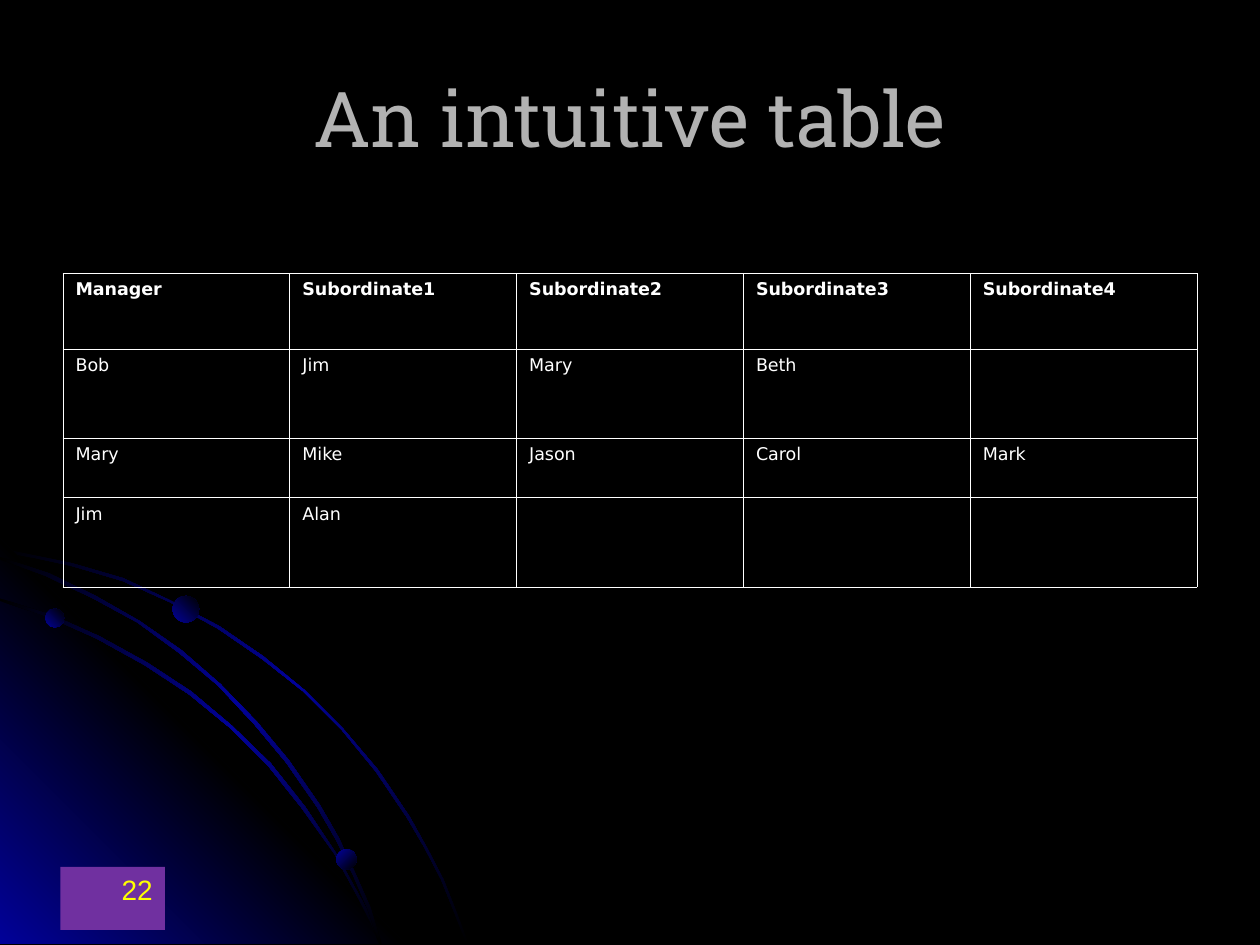
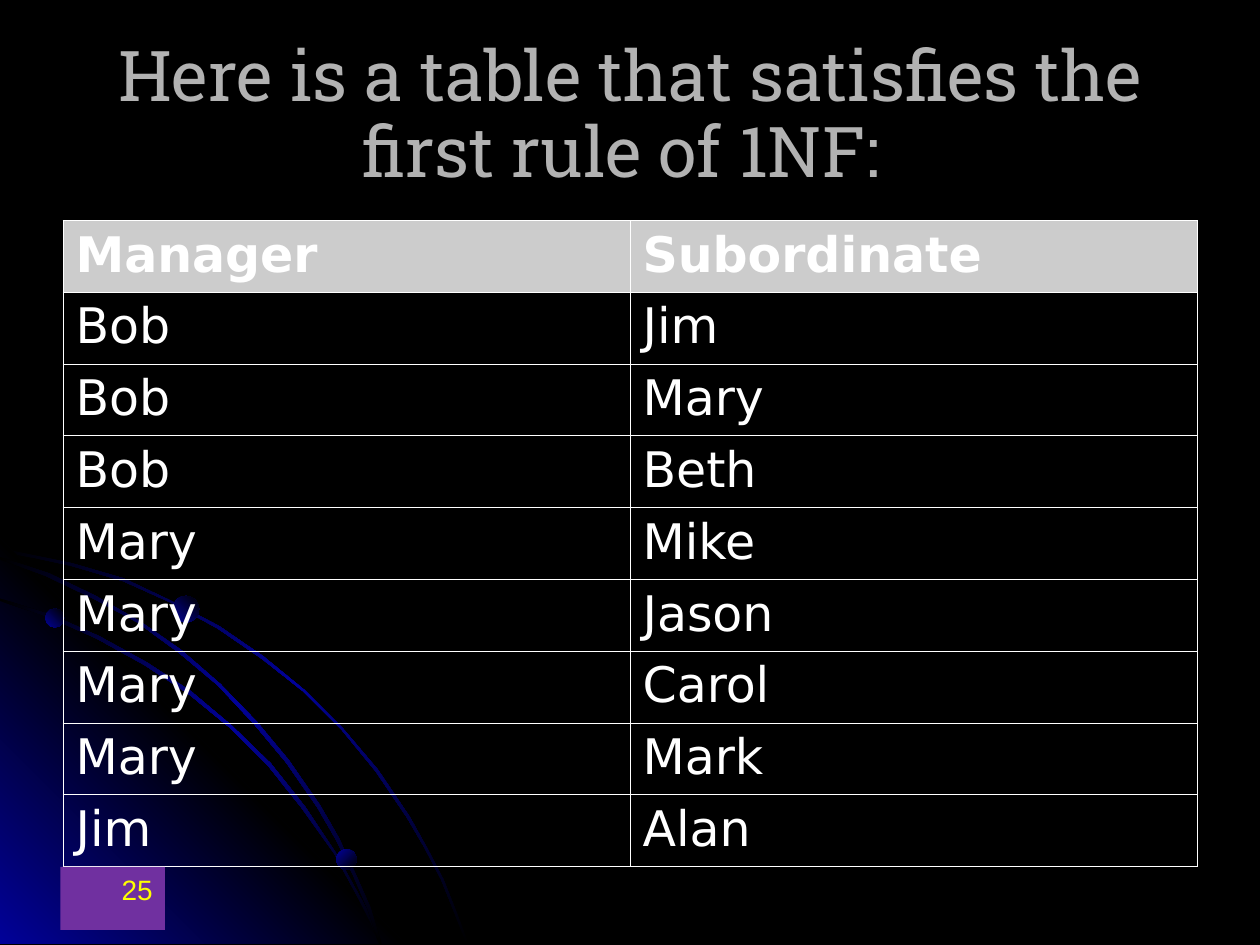
from lxml import etree
from pptx import Presentation
from pptx.dml.color import RGBColor
from pptx.enum import shapes, text
from pptx.oxml import ns, parse_xml
from pptx.util import Inches, Pt

BLACK = RGBColor(0x00, 0x00, 0x00)
BLUE = RGBColor(0x01, 0x01, 0x99)
WHITE = RGBColor(0xFF, 0xFF, 0xFF)
GREY = RGBColor(0xB2, 0xB2, 0xB2)
HEADER_GREY = RGBColor(0xCC, 0xCC, 0xCC)
PURPLE = RGBColor(0x70, 0x30, 0xA0)
YELLOW = RGBColor(0xFF, 0xFF, 0x00)

SLIDES = [
    {
        "title": "An intuitive table", "title_size": 44, "line_spacing": 1.0,
        "number": "22", "top": 2.17, "row_heights": [0.6, 0.71, 0.47, 0.71],
        "cell_size": 10, "header_fill": None,
        "rows": [
            ("Manager", "Subordinate1", "Subordinate2", "Subordinate3", "Subordinate4"),
            ("Bob", "Jim", "Mary", "Beth", ""),
            ("Mary", "Mike", "Jason", "Carol", "Mark"),
            ("Jim", "Alan", "", "", ""),
        ],
    },
    {
        "title": "Here is a table that satisfies the first rule of 1NF: ",
        "title_size": 40, "line_spacing": 0.9,
        "number": "25", "top": 1.75, "row_heights": [0.57] * 9,
        "cell_size": 28, "header_fill": HEADER_GREY,
        "rows": [
            ("Manager", "Subordinate"),
            ("Bob", "Jim"),
            ("Bob", "Mary"),
            ("Bob", "Beth"),
            ("Mary", "Mike"),
            ("Mary", "Jason"),
            ("Mary", "Carol"),
            ("Mary", "Mark"),
            ("Jim", "Alan"),
        ],
    },
]

LEFT, CONTENT_WIDTH = 0.5, 9
TITLE_BOX = (LEFT, 0.3, CONTENT_WIDTH, 1.25)
NUMBER_BOX = (0.48, 6.88, 0.83, 0.5)
CELL_INDENT = 0.38

ARC_COLOURS = (BLACK, BLUE, BLACK)
OUTER_ARC = [
    (0.57, 4.47), (0.28, 4.41), (0, 4.35), (0, 4.38), (0.28, 4.43), (0.56, 4.49),
    (0.97, 4.61), (1.35, 4.78), (1.73, 4.99), (2.08, 5.23), (2.41, 5.49),
    (2.71, 5.79), (2.98, 6.12), (3.23, 6.49), (3.37, 6.73), (3.5, 6.98),
    (3.6, 7.23), (3.7, 7.49), (3.72, 7.49), (3.62, 7.23), (3.52, 6.98),
    (3.39, 6.73), (3.25, 6.48), (3, 6.11), (2.72, 5.78), (2.42, 5.48),
    (2.09, 5.21), (1.74, 4.97), (1.36, 4.77), (0.98, 4.59),
]
CORNER_GLOW = [(3.22, 7.49), (0, 7.49), (0, 4.27)]
INNER_ARC = [
    (2.85, 7.14), (2.94, 7.32), (3.01, 7.49), (3.03, 7.49), (2.96, 7.3),
    (2.86, 7.12), (2.66, 6.76), (2.42, 6.4), (2.15, 6.06), (1.84, 5.76),
    (1.52, 5.49), (1.17, 5.26), (0.79, 5.05), (0.41, 4.88), (0, 4.75),
    (0, 4.77), (0.39, 4.9), (0.77, 5.07), (1.15, 5.28), (1.5, 5.51),
    (1.83, 5.78), (2.13, 6.08), (2.4, 6.42), (2.65, 6.77),
]
MIDDLE_ARC = [
    (0, 4.42), (0, 4.44), (0.36, 4.57), (0.74, 4.75), (1.09, 4.94), (1.42, 5.18),
    (1.73, 5.44), (2.02, 5.75), (2.27, 6.05), (2.52, 6.41), (2.67, 6.67),
    (2.8, 6.94), (2.92, 7.22), (3.01, 7.49), (3.03, 7.49), (2.94, 7.2),
    (2.82, 6.93), (2.69, 6.65), (2.54, 6.39), (2.29, 6.03), (2.04, 5.73),
    (1.75, 5.43), (1.44, 5.16), (1.11, 4.93), (0.76, 4.73), (0.39, 4.55),
]
OUTLINES = [  # points, gradient colours, angle
    (OUTER_ARC, ARC_COLOURS, 45),
    (CORNER_GLOW, (BLUE, BLACK, BLUE), 315),
    (INNER_ARC, ARC_COLOURS, 45),
    (MIDDLE_ARC, ARC_COLOURS, 45),
]
DOTS = [(0.36, 4.83, 0.15, 315), (2.67, 6.74, 0.16, 45), (1.37, 4.73, 0.21, 315)]


def inches(values):
    return [Inches(v) for v in values]


def set_gradient(sp, colours, angle):
    """Fill with evenly spaced stops; angle is clockwise degrees."""
    stops = "".join(
        f'<a:gs pos="{100000 * i // (len(colours) - 1)}"><a:srgbClr val="{c}"/></a:gs>'
        for i, c in enumerate(colours))
    sp.fill.background()
    no_fill = sp._element.spPr.find(ns.qn("a:noFill"))
    no_fill.getparent().replace(no_fill, parse_xml(
        f'<a:gradFill {ns.nsdecls("a")} rotWithShape="1"><a:gsLst>{stops}</a:gsLst>'
        f'<a:lin ang="{angle * 60000}" scaled="1"/></a:gradFill>'))
    sp.line.fill.background()
    sp.shadow.inherit = False


def write(p, words, colour, **font):
    r = p.add_run()
    r.text = words
    r.font.color.rgb = colour
    for name, value in font.items():
        setattr(r.font, name, value)


def add_decoration(slide):
    for points, colours, angle in OUTLINES:
        corners = [inches(point) for point in points]
        builder = slide.shapes.build_freeform(*corners[0], scale=1.0)
        builder.add_line_segments(corners[1:], close=True)
        set_gradient(builder.convert_to_shape(), colours, angle)
    for x, y, size, angle in DOTS:
        dot = slide.shapes.add_shape(shapes.MSO_SHAPE.OVAL, *inches((x, y, size, size)))
        set_gradient(dot, (BLUE, BLACK), angle)


def add_title(slide, words, size, line_spacing):
    tf = slide.shapes.add_textbox(*inches(TITLE_BOX)).text_frame
    tf.word_wrap = True
    tf.vertical_anchor = text.MSO_ANCHOR.MIDDLE
    p = tf.paragraphs[0]
    p.alignment = text.PP_ALIGN.CENTER
    p.line_spacing = line_spacing
    write(p, words, GREY, name="Roboto Slab", size=Pt(size))


def add_number(slide, number):
    sp = slide.shapes.add_shape(shapes.MSO_SHAPE.RECTANGLE, *inches(NUMBER_BOX))
    sp.fill.solid()
    sp.fill.fore_color.rgb = PURPLE
    sp.line.fill.background()
    sp.shadow.inherit = False
    tf = sp.text_frame
    tf.vertical_anchor = text.MSO_ANCHOR.TOP
    p = tf.paragraphs[0]
    p.alignment = text.PP_ALIGN.RIGHT
    write(p, number, YELLOW, name="Arial", size=Pt(16))


def add_borders(cell):
    tcPr = cell._tc.get_or_add_tcPr()
    for side in ("lnL", "lnR", "lnT", "lnB"):
        ln = etree.SubElement(tcPr, ns.qn(f"a:{side}"), w=str(Pt(0.45)))
        fill = etree.SubElement(ln, ns.qn("a:solidFill"))
        etree.SubElement(fill, ns.qn("a:srgbClr"), val=str(WHITE))


def add_table(slide, rows, top, row_heights, size, header_fill):
    box = inches((LEFT, top, CONTENT_WIDTH, sum(row_heights)))
    table = slide.shapes.add_table(len(rows), len(rows[0]), *box).table
    table.first_row = table.horz_banding = False
    for i, (words, height) in enumerate(zip(rows, row_heights)):
        table.rows[i].height = Inches(height)
        for j, word in enumerate(words):
            cell = table.cell(i, j)
            add_borders(cell)
            if i == 0 and header_fill:
                cell.fill.solid()
                cell.fill.fore_color.rgb = header_fill
            else:
                cell.fill.background()
            if word:
                p = cell.text_frame.paragraphs[0]
                pPr = p._p.get_or_add_pPr()
                pPr.set("marL", str(Inches(CELL_INDENT)))
                pPr.set("indent", str(-Inches(CELL_INDENT)))
                write(p, word, WHITE, name="DejaVu Sans", size=Pt(size), bold=i == 0)


def main():
    prs = Presentation()
    prs.slide_width, prs.slide_height = Inches(10), Inches(7.5)
    background = prs.slide_master.background.fill
    background.solid()
    background.fore_color.rgb = BLACK
    for s in SLIDES:
        slide = prs.slides.add_slide(prs.slide_layouts[6])
        add_decoration(slide)
        add_title(slide, s["title"], s["title_size"], s["line_spacing"])
        add_table(slide, s["rows"], s["top"], s["row_heights"], s["cell_size"],
                  s["header_fill"])
        add_number(slide, s["number"])
    prs.save("out.pptx")


if __name__ == "__main__":
    main()
